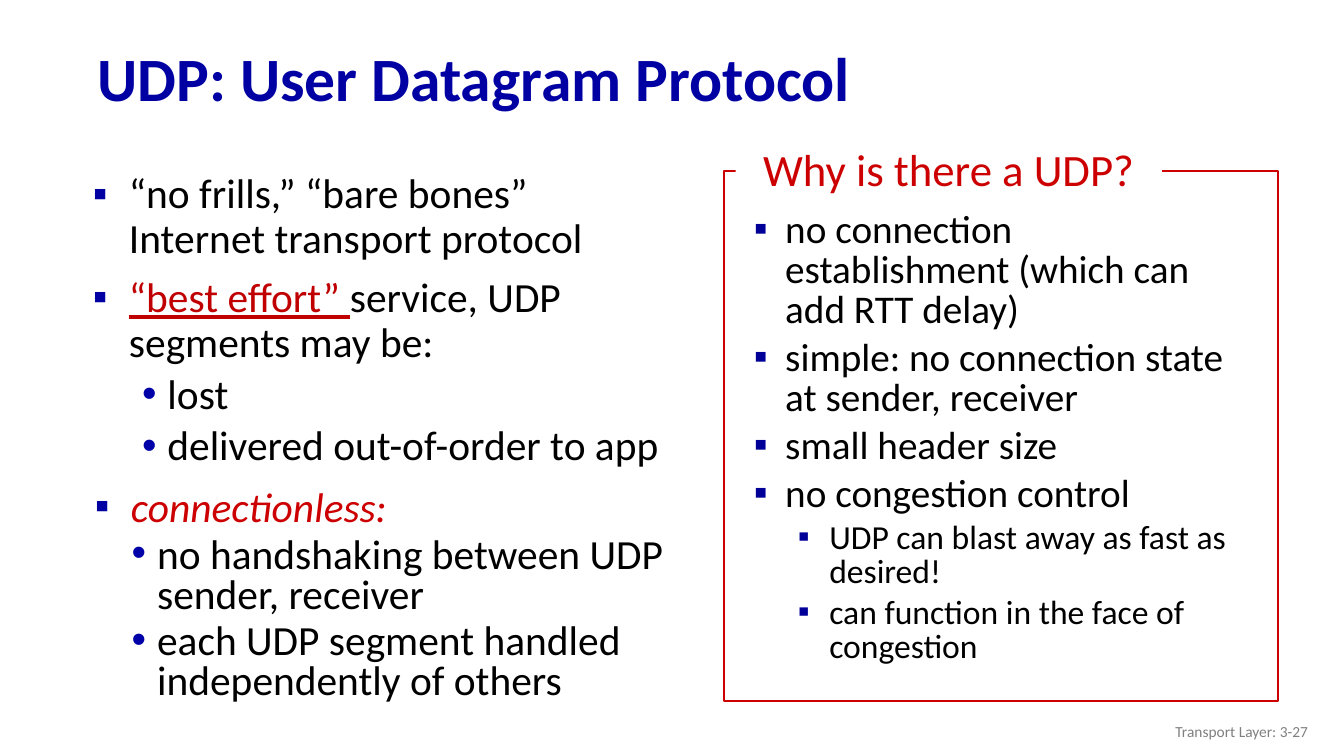
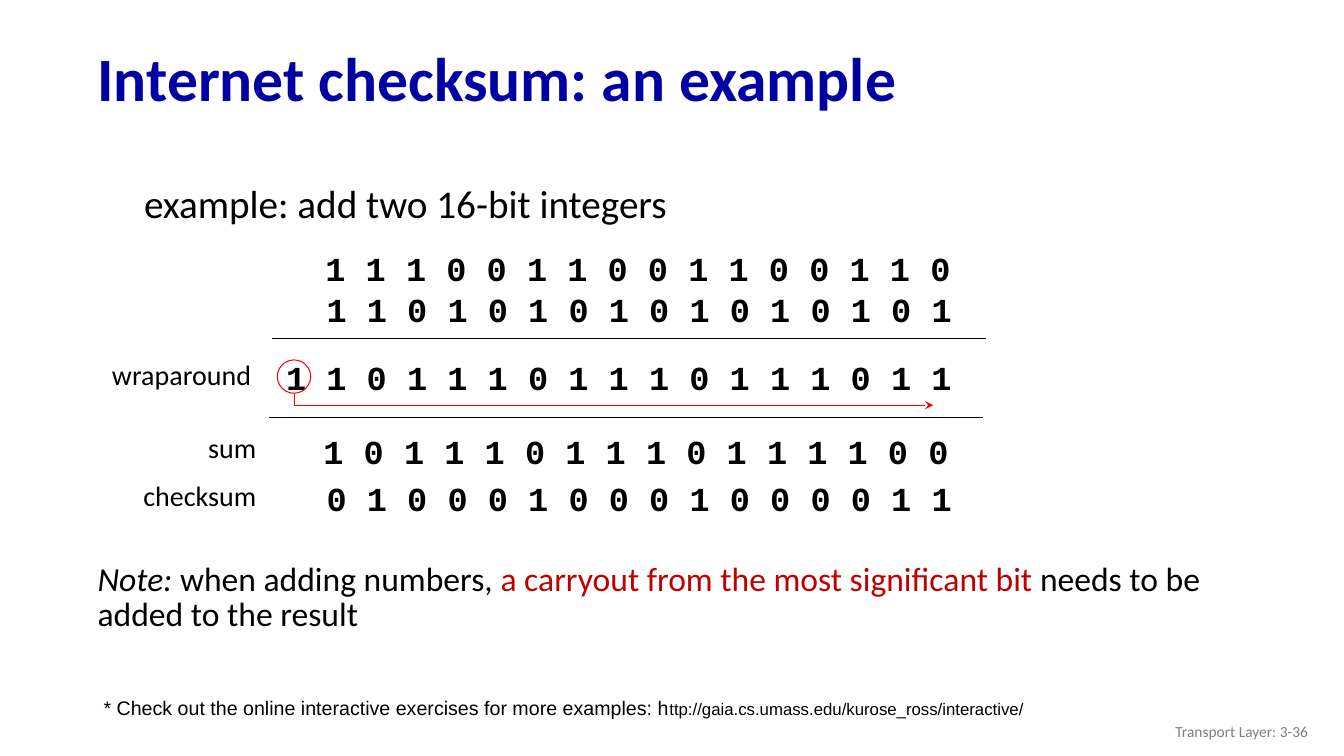
from dataclasses import dataclass
from lxml.etree import SubElement
from pptx import Presentation
from pptx.dml.color import RGBColor
from pptx.enum.shapes import MSO_CONNECTOR, MSO_SHAPE
from pptx.enum.text import MSO_ANCHOR, PP_ALIGN
from pptx.oxml.ns import qn
from pptx.util import Cm, Pt


@dataclass(frozen=True)
class Theme:
    """Colours, fonts and type sizes."""
    ink: str = "000000"
    paper: str = "FFFFFF"
    navy: str = "0000A3"
    dot: str = "0000A8"
    mark: str = "000099"
    red: str = "CC0000"
    dark: str = "C00000"
    trace: str = "FF0000"
    grey: str = "808080"
    sans: str = "Calibri"
    mono: str = "Courier New"
    plain: str = "Arial"
    title: float = 44
    head: float = 32
    body: float = 29.6
    list: float = 28
    small: float = 24
    label: float = 20
    link: float = 14
    fine: float = 12
    foot: float = 11


@dataclass(frozen=True)
class Bullet:
    """Mark, colour, left margin, hang and space before of a list level."""
    char: str
    color: str
    left: float
    hang: float
    gap: float


T = Theme()
MAIN = Bullet("▪", T.navy, 1.27, 0.91, 10)
SUB = Bullet("•", T.dot, 2.24, 0.64, 5)
NEAR = Bullet("•", T.dot, 1.93, 0.64, 5)
WHY = Bullet("▪", T.mark, 0.79, 0.79, 5.6)
WHY_SUB = Bullet("▪", T.mark, 1.9, 0.79, 4.8)


class Deck:
    """Holds the presentation, the style and the current slide."""

    def __init__(self):
        """Start an empty wide deck."""
        self.prs = Presentation()
        self.prs.slide_width, self.prs.slide_height = Cm(33.87), Cm(19.05)

    def page(self, title, number):
        """Add a slide with its title and footer."""
        self.slide = self.prs.slides.add_slide(self.prs.slide_layouts[6])
        self.shapes = self.slide.shapes
        self.text((2.21, 0.81, 30.84, 2.49), [title], lead=0.9, anchor=MSO_ANCHOR.MIDDLE,
                  size=T.title, color=T.navy, bold=True)
        self.text((25.6, 17.91, 7.62, 1.02), [f"Transport Layer: {number}"],
                  anchor=MSO_ANCHOR.MIDDLE, align=PP_ALIGN.RIGHT, size=T.foot, color=T.grey)

    def style(self, font, form):
        """Apply a dict of format values to a font."""
        form = {"name": T.sans, "color": T.ink, **form}
        font.color.rgb = RGBColor.from_string(form.pop("color"))
        form["size"] = Pt(form["size"])
        for key, value in form.items():
            setattr(font, key, value)

    def bullet(self, para, level):
        """Give a paragraph its hanging bullet."""
        props = para._p.get_or_add_pPr()
        props.set("marL", str(Cm(level.left)))
        props.set("indent", str(-Cm(level.hang)))
        tint = SubElement(props, qn("a:buClr"))
        SubElement(tint, qn("a:srgbClr")).set("val", level.color)
        SubElement(props, qn("a:buFont")).set("typeface", T.plain)
        SubElement(props, qn("a:buChar")).set("char", level.char)

    def text(self, box, paras, lead=None, align=None, anchor=MSO_ANCHOR.TOP, fill=None, **form):
        """Add a text box whose paragraphs are a string or a level followed by runs."""
        shape = self.shapes.add_textbox(*map(Cm, box))
        if fill:
            shape.fill.solid()
            shape.fill.fore_color.rgb = RGBColor.from_string(fill)
        frame = shape.text_frame
        frame.word_wrap, frame.vertical_anchor = True, anchor
        for pos, item in enumerate(paras):
            level, *runs = (None, item) if isinstance(item, str) else item
            para = frame.paragraphs[0] if pos == 0 else frame.add_paragraph()
            para.line_spacing, para.alignment = lead, align
            if level:
                self.bullet(para, level)
                if pos:
                    para.space_before = Pt(level.gap)
            for part in runs:
                words, extra = (part, {}) if isinstance(part, str) else part
                run = para.add_run()
                run.text = words
                self.style(run.font, {**form, **extra})

    def pen(self, shape, color, width):
        """Set the line of a shape."""
        shape.line.color.rgb = RGBColor.from_string(color)
        shape.line.width = Pt(width)

    def outline(self, kind, box, color, width):
        """Add an unfilled preset shape."""
        shape = self.shapes.add_shape(kind, *map(Cm, box))
        shape.shadow.inherit = False
        shape.fill.background()
        self.pen(shape, color, width)

    def rule(self, left, right, top):
        """Add a level black line."""
        line = self.shapes.add_connector(MSO_CONNECTOR.STRAIGHT, Cm(left), Cm(top), Cm(right), Cm(top))
        SubElement(line._element.spPr, qn("a:effectLst"))
        self.pen(line, T.ink, 1)

    def arrow(self, start, *points):
        """Add a bent arrow through the points."""
        build = self.shapes.build_freeform(*map(Cm, start))
        build.add_line_segments([tuple(map(Cm, point)) for point in points], close=False)
        shape = build.convert_to_shape()
        shape.shadow.inherit = False
        shape.fill.background()
        self.pen(shape, T.trace, 0.75)
        SubElement(shape.line._get_or_add_ln(), qn("a:tailEnd")).set("type", "stealth")


def udp(deck):
    """Build the UDP overview."""
    deck.page("UDP: User Datagram Protocol", "3-27")
    deck.text((1.73, 4.24, 15.42, 8.13), [
        (MAIN, "“no frills,” “bare bones” Internet transport protocol"),
        (MAIN, ("“best effort” ", {"color": T.dark, "underline": True}),
         "service, UDP segments may be:"),
        (SUB, "lost"),
        (SUB, "delivered out-of-order to app"),
    ], lead=0.9, size=T.body)
    small = {"size": T.small}
    deck.text((18.75, 5.21, 12.78, 11.07), [
        (WHY, "no connection establishment (which can add RTT delay)"),
        (WHY, "simple: no connection state at sender, receiver"),
        (WHY, "small header size"),
        (WHY, "no congestion control"),
        (WHY_SUB, ("UDP can blast away as fast as desired!", small)),
        (WHY_SUB, ("can function in the face of congestion", small)),
    ], lead=0.85, size=T.list)
    deck.outline(MSO_SHAPE.RECTANGLE, (18.24, 4.32, 13.97, 13.34), T.red, 1.5)
    deck.text((18.54, 3.71, 10.74, 1.37), ["Why is there a UDP?"], lead=0.8,
              align=PP_ALIGN.CENTER, fill=T.paper, size=T.head, color=T.red)
    deck.text((1.78, 12.24, 15.42, 5.72), [
        (MAIN, ("connectionless:", {"color": T.red, "italic": True})),
        (NEAR, "no handshaking between UDP sender, receiver"),
        (NEAR, "each UDP segment handled independently of others"),
    ], lead=0.8, size=T.body)


def checksum(deck):
    """Build the checksum example."""
    deck.page("Internet checksum: an example", "3-36")
    deck.text((3.38, 4.04, 21.59, 2), ["example: add two 16-bit integers"], lead=1.3, size=T.list)
    for left, top, bits in (
        (7.95, 6.12, "1110011001100110"),
        (7.98, 7.16, "1101010101010101"),
        (6.96, 8.86, "11011101110111011"),
        (7.9, 10.74, "1011101110111100"),
        (7.98, 11.91, "0100010001000011"),
    ):
        deck.text((left, top, 17.6, 1.27), [" ".join(bits)], name=T.mono, size=T.small, bold=True)
    for right, top, word in (
        (6.58, 8.89, "wraparound"), (6.71, 10.72, "sum"), (6.71, 11.94, "checksum"),
    ):
        deck.text((right - 4.5, top, 4.5, 1.1), [word], align=PP_ALIGN.RIGHT, size=T.label)
    deck.rule(6.86, 24.84, 8.53)
    deck.rule(6.78, 24.77, 10.52)
    deck.outline(MSO_SHAPE.OVAL, (6.99, 9.07, 0.84, 0.84), T.trace, 0.75)
    deck.arrow((7.42, 9.93), (7.42, 10.21), (23.52, 10.21))
    deck.text((2.21, 14.1, 28.8, 3), [
        (None, ("Note:", {"italic": True}), " when adding numbers, ",
         ("a carryout from the most significant bit ", {"color": T.dark}),
         "needs to be added to the result"),
    ], lead=0.85, size=T.small)
    deck.text((2.36, 17.4, 27.38, 0.86), [
        (None, "* Check out the online interactive exercises for more examples: h",
         ("ttp://gaia.cs.umass.edu/kurose_ross/interactive/", {"size": T.fine})),
    ], name=T.plain, size=T.link)


def main():
    """Build and save the deck."""
    deck = Deck()
    udp(deck)
    checksum(deck)
    deck.prs.save("out.pptx")


if __name__ == "__main__":
    main()
